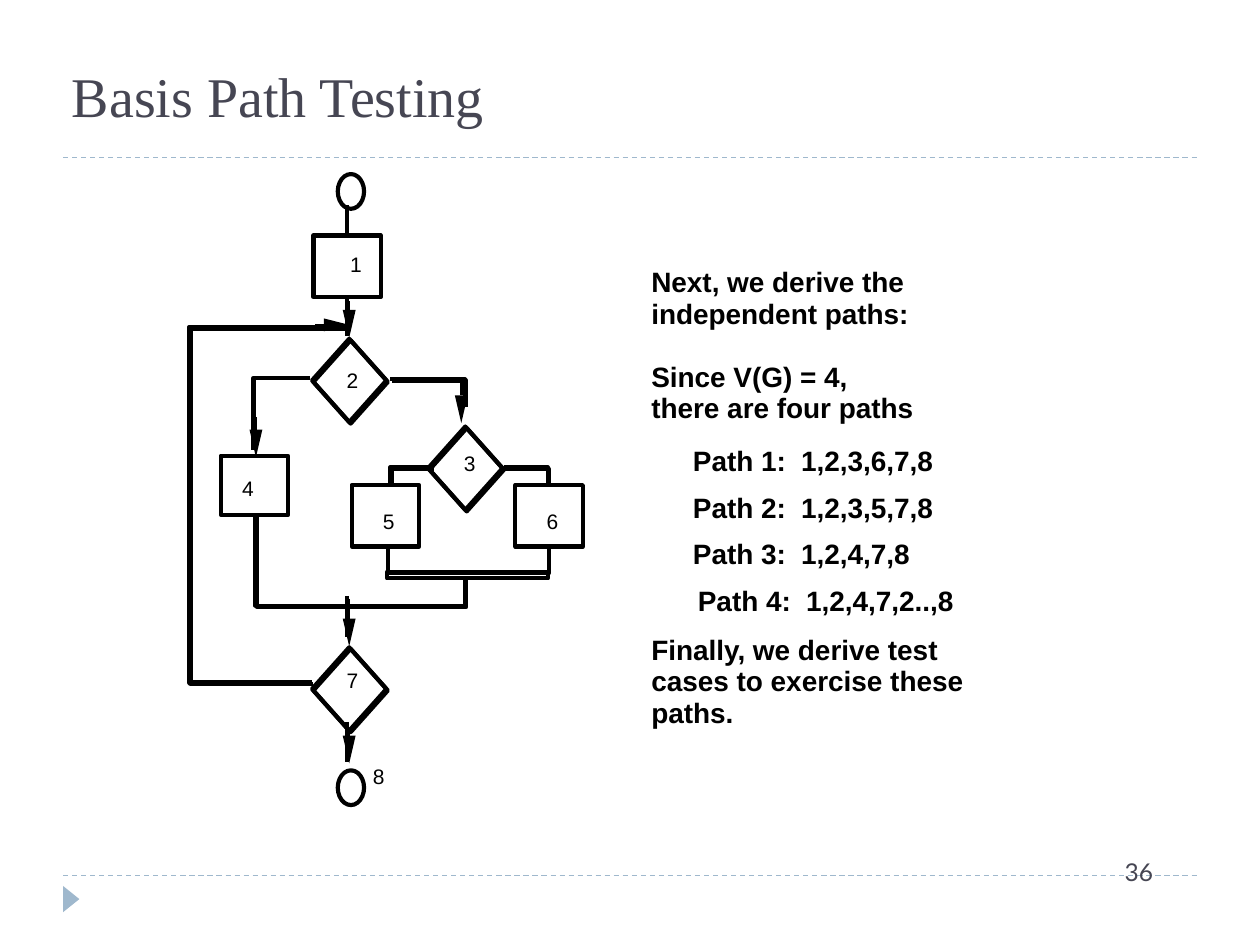
from lxml.etree import SubElement
from pptx import Presentation
from pptx.dml.color import RGBColor
from pptx.enum.dml import MSO_LINE
from pptx.enum.shapes import MSO_CONNECTOR, MSO_SHAPE
from pptx.enum.text import MSO_ANCHOR, MSO_AUTO_SIZE, PP_ALIGN
from pptx.oxml.ns import qn
from pptx.util import Cm, Pt

BLACK = RGBColor(0x00, 0x00, 0x00)
WHITE = RGBColor(0xFF, 0xFF, 0xFF)
SLATE = RGBColor(0x46, 0x46, 0x53)
BLUE = RGBColor(0x9F, 0xB8, 0xCD)
THICK, THIN = 2.38, 1.39
ECHO = 0.03  # heavy strokes are drawn twice, this far apart

prs = Presentation()
prs.slide_width, prs.slide_height = Cm(25.4), Cm(19.05)
s = prs.slides.add_slide(prs.slide_layouts[5])


def write(sp, text, size, font="Arial", color=BLACK, bold=False,
          align=PP_ALIGN.LEFT, anchor=MSO_ANCHOR.TOP, inset=(0, 0), spacing=0.9, tab=None):
    tf = sp.text_frame
    tf.word_wrap = True
    tf.auto_size = MSO_AUTO_SIZE.NONE
    tf.vertical_anchor = anchor
    tf.margin_left = tf.margin_right = Cm(inset[0])
    tf.margin_top = tf.margin_bottom = Cm(inset[1])
    p = tf.paragraphs[0]
    p.alignment = align
    p.line_spacing = spacing
    if tab:
        stops = SubElement(p._p.get_or_add_pPr(), qn("a:tabLst"))
        SubElement(stops, qn("a:tab"), pos=str(Cm(tab)), algn="l")
    r = p.add_run()
    r.text = text
    r.font.size, r.font.name, r.font.bold = Pt(size), font, bold
    r.font.color.rgb = color


def draw(kind, geometry, fill=None, line=BLACK, width=THICK):
    """Add a connector, an outline through points, or a preset shape in a box."""
    if kind == "line":
        sp = s.shapes.add_connector(MSO_CONNECTOR.STRAIGHT, *map(Cm, geometry))
        SubElement(sp._element.spPr, qn("a:effectLst"))
    else:
        if kind in ("open", "closed"):
            points = [(Cm(x), Cm(y)) for x, y in geometry]
            builder = s.shapes.build_freeform(*points[0])
            builder.add_line_segments(points[1:], close=kind == "closed")
            sp = builder.convert_to_shape()
        else:
            sp = s.shapes.add_shape(kind, *map(Cm, geometry))
        sp.shadow.inherit = False
        if fill is None:
            sp.fill.background()
        else:
            sp.fill.solid()
            sp.fill.fore_color.rgb = fill
    if line is None:
        sp.line.fill.background()
    else:
        sp.line.color.rgb = line
        sp.line.width = Pt(width)
    return sp


# Frame, slide number and title
for y in (17.65, 3.18):
    rule = draw("line", (1.27, y, 24.13, y), line=BLUE, width=0.75)
    rule.line.dash_style = MSO_LINE.DASH
marker = draw(MSO_SHAPE.ISOSCELES_TRIANGLE, (1.17, 17.96, 0.53, 0.33), fill=BLUE, line=None)
marker.rotation = 90
number = s.shapes.add_textbox(Cm(20.52), Cm(17.15), Cm(4.88), Cm(1.27))
write(number, "36", 14, font="Lato", color=SLATE, align=PP_ALIGN.CENTER,
      inset=(0.25, 0.13), spacing=1.0)
title = s.shapes.title
title.left, title.top, title.width, title.height = Cm(1.27), Cm(0.84), Cm(12.12), Cm(1.83)
write(title, "Basis Path Testing", 32, font="Times New Roman", color=SLATE,
      anchor=MSO_ANCHOR.BOTTOM, inset=(0.18, 0.08), spacing=1.0)

# Explanation: left, top, width, text
NOTES = [
    (13.13, 5.41, 5.4, "Next, we derive the"),
    (13.13, 6.05, 5.4, "independent paths:"),
    (13.13, 7.32, 4.2, "Since V(G) = 4,"),
    (13.13, 7.95, 5.5, "there are four paths"),
    (13.97, 9.02, 5.1, "Path 1:\t1,2,3,6,7,8"),
    (13.97, 9.96, 5.1, "Path 2:\t1,2,3,5,7,8"),
    (13.97, 10.9, 4.7, "Path 3:\t1,2,4,7,8"),
    (14.07, 11.84, 5.5, "Path 4:\t1,2,4,7,2..,8"),
    (13.13, 12.83, 6, "Finally, we derive test"),
    (13.13, 13.46, 6.8, "cases to exercise these"),
    (13.13, 14.1, 1.9, "paths."),
]
for x, y, w, text in NOTES:
    box = s.shapes.add_textbox(Cm(x), Cm(y), Cm(w), Cm(0.61))
    write(box, text, 16, bold=True, tab=2.18 if "\t" in text else None)

# Start and end nodes
for y in (3.51, 15.53):
    draw(MSO_SHAPE.OVAL, (6.81, y, 0.53, 0.7), fill=WHITE)

# Decision nodes
for cx, cy in ((9.41, 9.47), (7.07, 7.7), (7.07, 13.92)):
    for shift, fill in ((0, WHITE), (ECHO, None)):
        x, y = cx - shift, cy - shift
        draw("closed", [(x, y - 0.84), (x - 0.75, y), (x, y + 0.84), (x + 0.75, y)], fill=fill)

# Flow lines: points, number of strokes
FLOWS = [
    ([(7.9, 7.67), (9.4, 7.67), (9.4, 8.2)], 2),
    ([(6.25, 7.62), (5.11, 7.62), (5.11, 9.07)], 1),
    ([(10.19, 9.45), (11.07, 9.45), (11.07, 10.31)], 2),
    ([(8.74, 9.45), (7.9, 9.45), (7.9, 10.54)], 2),
    ([(7.82, 11.07), (7.82, 11.56), (11.07, 11.56), (11.07, 11.07)], 1),
    ([(6.32, 13.79), (3.84, 13.79), (3.84, 6.63), (7.06, 6.63)], 2),
    ([(9.4, 11.68), (9.4, 12.24), (5.18, 12.24), (5.18, 10.39)], 2),
]
for points, strokes in FLOWS:
    for i in range(strokes):
        draw("open", [(x - i * ECHO, y - i * ECHO) for x, y in points])
draw(MSO_SHAPE.RECTANGLE, (7.8, 11.53, 3.25, 0.13))
for top, bottom in ((4.14, 6.78), (12.01, 12.85), (14.55, 15.37)):
    draw("line", (6.99, top, 6.99, bottom))

# Process nodes
for x, y, h in ((6.32, 4.75, 1.24), (7.09, 9.78, 1.24), (10.39, 9.78, 1.24), (4.45, 9.19, 1.19)):
    draw(MSO_SHAPE.RECTANGLE, (x, y, 1.36, h), fill=WHITE)

# Arrows: stem start, then tip of the slender head
for x0, y0, x, y in ((6.35, 6.55, 7.04, 6.55), (9.3, 7.65, 9.3, 8.53), (5.16, 8.41, 5.16, 9.22),
                     (7.04, 12.07, 7.04, 13.03), (7.04, 6.07, 7.04, 6.81),
                     (7.04, 14.73, 7.04, 15.39)):
    if y0 == y:
        base, head = (x - 0.51, y), [(x, y), (x - 0.51, y + 0.13), (x - 0.51, y - 0.13)]
    else:
        base, head = (x, y - 0.56), [(x, y), (x - 0.13, y - 0.56), (x + 0.13, y - 0.56)]
    draw("closed", head, fill=BLACK, line=None)
    draw("line", (x0, y0, *base), width=THIN)

# Node numbers
LABELS = [(7.06, 5.13), (6.99, 7.47), (9.35, 9.14), (4.88, 9.65),
          (7.72, 10.31), (11.02, 10.31), (6.99, 13.51), (7.52, 15.44)]
for n, (x, y) in enumerate(LABELS, 1):
    write(s.shapes.add_textbox(Cm(x), Cm(y), Cm(0.3), Cm(0.46)), str(n), 12)

prs.save("out.pptx")
